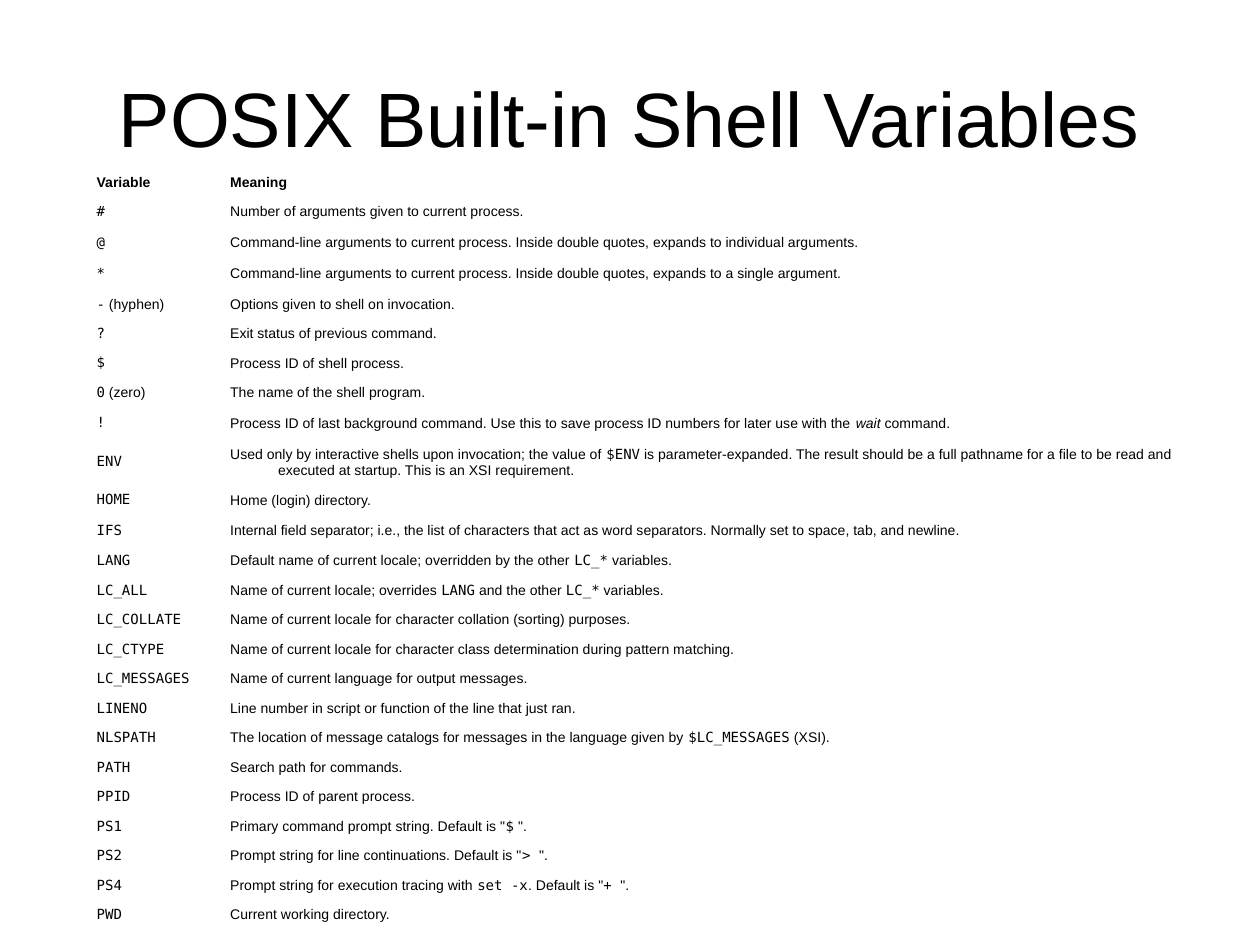
from dataclasses import dataclass
from pptx import Presentation
from pptx.dml.color import RGBColor as Rgb
from pptx.enum.text import MSO_ANCHOR as Anchor, MSO_AUTO_SIZE as Fit, PP_ALIGN as Align
from pptx.util import Inches, Pt


@dataclass(frozen=True)
class Theme:
    """Colours, fonts and type sizes of the slide."""
    ink: Rgb = Rgb(0, 0, 0)
    paper: Rgb = Rgb(255, 255, 255)
    sans: str = "Arial"
    mono: str = "DejaVu Sans Mono"
    head: int = 44
    body: int = 8
    plain: str = "{2D5ABB26-0587-4C30-8999-92F81FD0307C}"


THEME = Theme()
WIDE, HIGH = 10, 7.5
TITLE = "POSIX Built-in Shell Variables"
HEADS = ("Variable", "Meaning")
ROWS = [
    ("`#`", "Number of arguments given to current process."),
    ("`@`", "Command-line arguments to current process. Inside double quotes, expands to individual arguments."),
    ("`*`", "Command-line arguments to current process. Inside double quotes, expands to a single argument."),
    ("`-` (hyphen)", "Options given to shell on invocation."),
    ("`?`", "Exit status of previous command."),
    ("`$`", "Process ID of shell process."),
    ("`0` (zero)", "The name of the shell program."),
    ("`!`", "Process ID of last background command. Use this to save process ID numbers "
            "for later use with the ~wait~ command."),
    ("`ENV`", "Used only by interactive shells upon invocation; the value of `$ENV` is parameter-expanded. "
              "The result should be a full pathname for a file to be read and executed at startup. "
              "This is an XSI requirement."),
    ("`HOME`", "Home (login) directory."),
    ("`IFS`", "Internal field separator; i.e., the list of characters that act as word separators. "
              "Normally set to space, tab, and newline."),
    ("`LANG`", "Default name of current locale; overridden by the other `LC_*` variables."),
    ("`LC_ALL`", "Name of current locale; overrides `LANG` and the other `LC_*` variables."),
    ("`LC_COLLATE`", "Name of current locale for character collation (sorting) purposes."),
    ("`LC_CTYPE`", "Name of current locale for character class determination during pattern matching."),
    ("`LC_MESSAGES`", "Name of current language for output messages."),
    ("`LINENO`", "Line number in script or function of the line that just ran."),
    ("`NLSPATH`", "The location of message catalogs for messages in the language given by `$LC_MESSAGES` (XSI)."),
    ("`PATH`", "Search path for commands."),
    ("`PPID`", "Process ID of parent process."),
    ("`PS1`", "Primary command prompt string. Default is \"`$` \"."),
    ("`PS2`", "Prompt string for line continuations. Default is \"`> `\"."),
    ("`PS4`", "Prompt string for execution tracing with `set -x`. Default is \"`+ `\"."),
    ("`PWD`", "Current working directory."),
]
TALL = {2: 0.25, 3: 0.25, 8: 0.25, 9: 0.37, 11: 0.25}


def area(left, top, width, height):
    """Turn percentages of the slide into a box of lengths."""
    return [Inches(part * side / 100)
            for part, side in zip((left, top, width, height), (WIDE, HIGH) * 2)]


def style(run, size, face=THEME.sans, bold=False, slant=False):
    """Format one run of text."""
    font = run.font
    font.name, font.size, font.bold, font.italic = face, Pt(size), bold, slant
    font.color.rgb = THEME.ink


def title(slide, box):
    """Place and format the title."""
    shape = slide.shapes.title
    shape.left, shape.top, shape.width, shape.height = box
    frame = shape.text_frame
    frame.text = TITLE
    frame.auto_size, frame.vertical_anchor = Fit.NONE, Anchor.MIDDLE
    para = frame.paragraphs[0]
    para.alignment = Align.CENTER
    style(para.runs[0], THEME.head)


def entry(cell, text, bold):
    """Fill a cell, with `code` in mono and ~words~ in italic."""
    cell.fill.background()
    cell.vertical_anchor = Anchor.MIDDLE
    cell.margin_left = cell.margin_right = Inches(0.1)
    cell.margin_top = cell.margin_bottom = Inches(0.05)
    para = cell.text_frame.paragraphs[0]
    props = para._p.get_or_add_pPr()
    props.set("marL", str(Inches(0.38)))
    props.set("indent", str(-Inches(0.38)))
    for i, chunk in enumerate(text.split("`")):
        for j, part in enumerate(chunk.split("~")):
            if part:
                run = para.add_run()
                run.text = part
                style(run, THEME.body, THEME.mono if i % 2 else THEME.sans, bold, j % 2 == 1)


def grid(slide, box):
    """Place the table of variables and their meanings."""
    lines = [HEADS, *ROWS]
    table = slide.shapes.add_table(len(lines), len(HEADS), *box).table
    table.first_row = table.horz_banding = False
    table._tbl.tblPr[0].text = THEME.plain
    width, height = box[2:]
    table.columns[0].width = Inches(1.06)
    table.columns[1].width = width - Inches(1.06)
    base = (height - Inches(sum(TALL.values()))) // (len(lines) - len(TALL))
    for i, line in enumerate(lines):
        table.rows[i].height = Inches(TALL[i]) if i in TALL else base
        for j, text in enumerate(line):
            entry(table.cell(i, j), text, i == 0)


def main():
    """Build and save the slide."""
    deck = Presentation()
    deck.slide_width, deck.slide_height = Inches(WIDE), Inches(HIGH)
    slide = deck.slides.add_slide(deck.slide_layouts[5])
    fill = slide.background.fill
    fill.solid()
    fill.fore_color.rgb = THEME.paper
    title(slide, area(5, 4, 90, 16.67))
    grid(slide, area(6.67, 17.73, 90.55, 80.67))
    deck.save("out.pptx")


if __name__ == "__main__":
    main()
